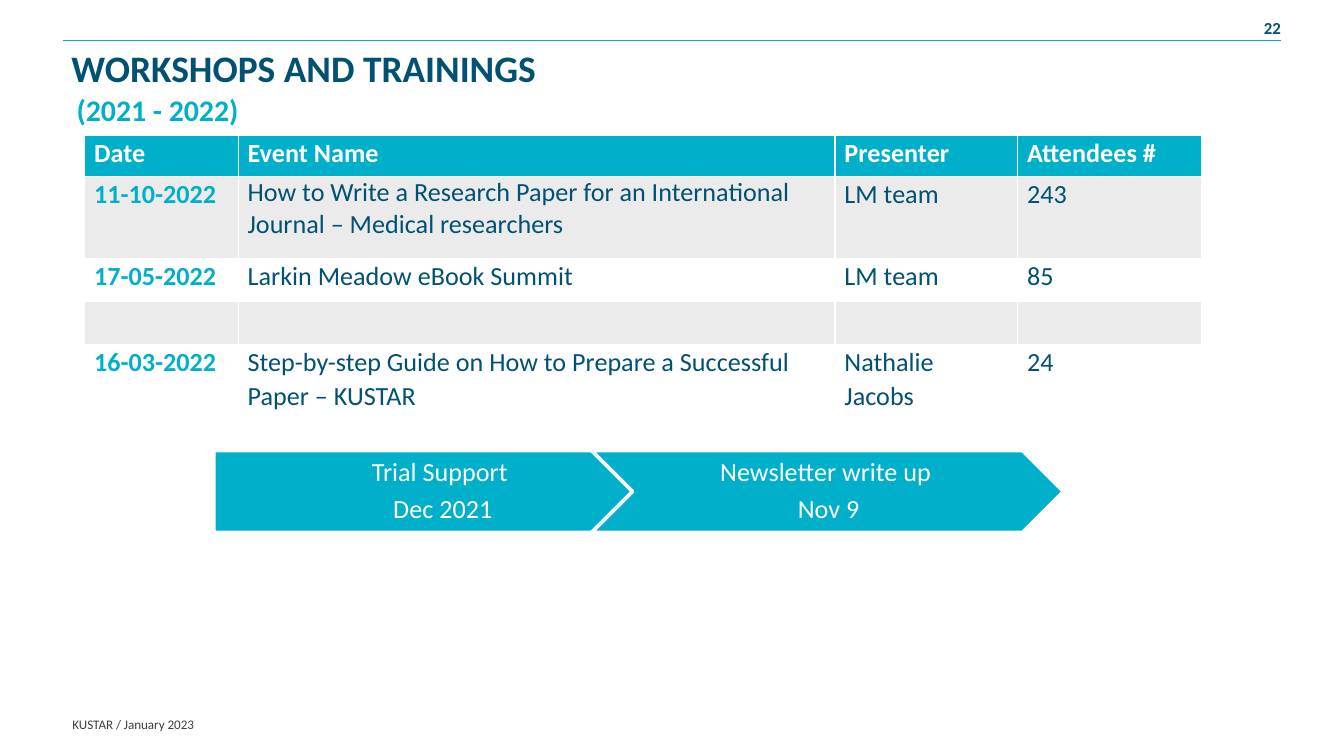
import pptx
import pptx.util
import pptx.dml.color
import pptx.enum.shapes
import pptx.enum.text
import pptx.oxml
import pptx.oxml.ns
from pptx.util import Cm

TEAL = "00B0CA"
NAVY = "005172"
WHITE = "FFFFFF"
GREY = "EBEBEB"
KIND = pptx.enum.shapes.MSO_SHAPE
ALIGN = pptx.enum.text.PP_ALIGN
ANCHOR = pptx.enum.text.MSO_ANCHOR


def color(code):
    return pptx.dml.color.RGBColor.from_string(code)


class Page:
    face = "Calibri"

    def __init__(self, deck):
        self.slide = deck.slides.add_slide(deck.slide_layouts[5])
        self.shapes = self.slide.shapes

    def fill_in(self, frame, text, size, ink, bold=False, align=ALIGN.LEFT,
                after=0, lead=1.0, inset=(0, 0, 0, 0), anchor=ANCHOR.TOP, wrap=True):
        frame.text = text
        frame.word_wrap = wrap
        frame.auto_size = pptx.enum.text.MSO_AUTO_SIZE.NONE
        frame.vertical_anchor = anchor
        (frame.margin_left, frame.margin_top,
         frame.margin_right, frame.margin_bottom) = map(Cm, inset)
        for para in frame.paragraphs:
            self.style(para, size, ink, bold, lead)
            para.alignment = align
            para.space_before = pptx.util.Pt(0)
            para.space_after = pptx.util.Pt(after)

    def style(self, para, size, ink, bold, lead):
        para.line_spacing = lead
        para.font.name = self.face
        para.font.size = pptx.util.Pt(size)
        para.font.bold = bold
        para.font.color.rgb = color(ink)

    def title(self, box, text):
        head = self.shapes.title
        head.left, head.top, head.width, head.height = map(Cm, box)
        self.fill_in(head.text_frame, text, 20, NAVY, True)

    def text(self, box, text, size, ink, **look):
        label = self.shapes.add_textbox(*map(Cm, box))
        self.fill_in(label.text_frame, text, size, ink, **look)

    def rule(self, left, right, top):
        line = self.shapes.add_connector(
            pptx.enum.shapes.MSO_CONNECTOR.STRAIGHT, Cm(left), Cm(top), Cm(right), Cm(top))
        line.line.color.rgb = color("00AEC7")
        line.line.width = pptx.util.Pt(0.5)
        line._element.spPr.append(pptx.oxml.parse_xml(
            f"<a:effectLst {pptx.oxml.ns.nsdecls('a')}/>"))

    def arrow(self, kind, box):
        shape = self.shapes.add_shape(kind, *map(Cm, box))
        shape.shadow.inherit = False
        shape.fill.solid()
        shape.fill.fore_color.rgb = color(TEAL)
        shape.line.color.rgb = color(WHITE)
        shape.line.width = pptx.util.Pt(2)

    def border(self, cell):
        props = cell._tc.get_or_add_tcPr()
        for spot, side in enumerate(("lnL", "lnR", "lnT", "lnB")):
            props.insert(spot, pptx.oxml.parse_xml(
                f'<a:{side} {pptx.oxml.ns.nsdecls("a")} w="9525"><a:solidFill>'
                f'<a:srgbClr val="{WHITE}"/></a:solidFill></a:{side}>'))

    def table(self, left, top, widths, heights, rows):
        grid = self.shapes.add_table(
            len(rows), len(widths), Cm(left), Cm(top),
            Cm(sum(widths)), Cm(sum(heights))).table
        grid.horz_banding = False
        for col, width in zip(grid.columns, widths):
            col.width = Cm(width)
        for r, (line, height) in enumerate(zip(rows, heights)):
            grid.rows[r].height = Cm(height)
            for c, text in enumerate(line):
                cell = grid.cell(r, c)
                cell.text = text
                cell.margin_left = cell.margin_right = Cm(0.18)
                cell.margin_top = cell.margin_bottom = 0
                ink = WHITE if r == 0 else TEAL if c == 0 else NAVY
                lead = 1.0 if (r, c) == (1, 1) else 1.07
                self.style(cell.text_frame.paragraphs[0], 14, ink, r == 0 or c == 0, lead)
                if r == 0 or r % 2:
                    cell.fill.solid()
                    cell.fill.fore_color.rgb = color(GREY if r else TEAL)
                else:
                    cell.fill.background()
                self.border(cell)


def main():
    deck = pptx.Presentation()
    deck.slide_width, deck.slide_height = Cm(25.4), Cm(14.28)
    page = Page(deck)
    page.text((23.83, 0.33, 0.38, 0.46), "22", 9, NAVY, bold=True, align=ALIGN.RIGHT,
              inset=(0, 0, 0, 0.08), anchor=ANCHOR.MIDDLE, wrap=False)
    page.rule(1.2, 24.2, 0.77)
    page.text((1.17, 13.34, 6.15, 0.71), "KUSTAR / January 2023", 7, "3E3E3E",
              inset=(0.2, 0.2, 0.2, 0.2))
    page.title((1.35, 0.86, 22.56, 0.76), "WORKSHOPS AND TRAININGS")
    page.text((1.2, 1.6, 24.05, 0.69), "(2021 - 2022)", 16, TEAL, bold=True,
              after=4.5, inset=(0.25, 0.13, 0.25, 0.13))
    page.table(1.6, 2.55, (2.9, 11.28, 3.45, 3.48), (0.79, 1.55, 0.81, 0.81, 1.6), (
        ("Date", "Event Name", "Presenter", "Attendees #"),
        ("11-10-2022", "How to Write a Research Paper for an International "
         "Journal – Medical researchers", "LM team", "243"),
        ("17-05-2022", "Larkin Meadow eBook Summit", "LM team", "85"),
        ("", "", "", ""),
        ("16-03-2022", "Step-by-step Guide on How to Prepare a Successful "
         "Paper – KUSTAR", "Nathalie Jacobs", "24"),
    ))
    top, high = 8.51, 1.55
    steps = (
        (KIND.PENTAGON, 4.04, 4.04, 8.51, 0.2, "Trial Support \nDec 2021"),
        (KIND.CHEVRON, 11.18, 11.94, 7.34, 0.15, "Newsletter write up \nNov 9"),
    )
    for kind, left, start, width, pad, text in steps:
        page.arrow(kind, (left, top, 8.92, high))
        page.text((start, top, width, high), text, 14, WHITE, align=ALIGN.CENTER,
                  after=5, lead=0.9, inset=(pad, 0.1, 0.05, 0.1), anchor=ANCHOR.MIDDLE)
    deck.save("out.pptx")


if __name__ == "__main__":
    main()
